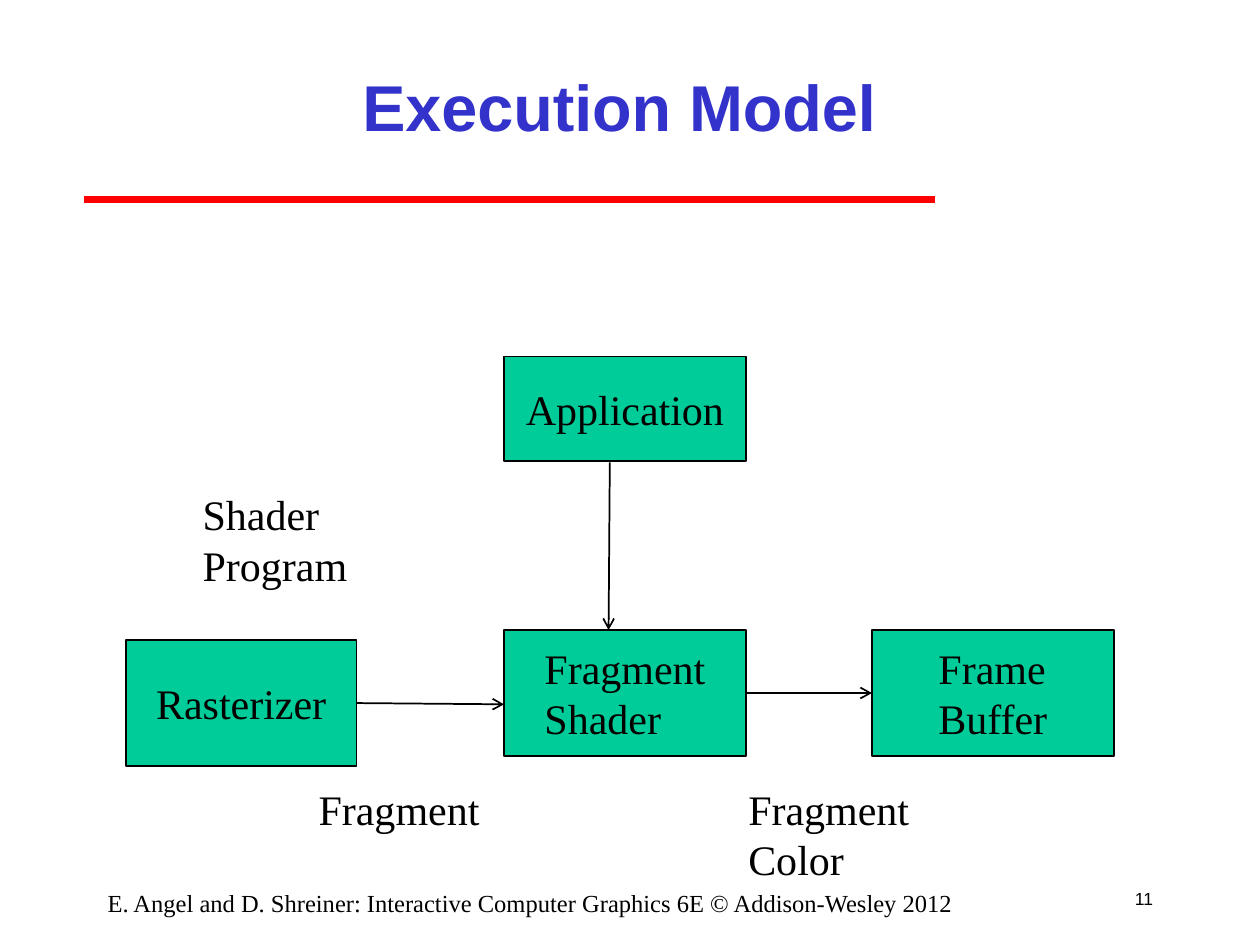
"""Build the execution model slide."""
from lxml import etree
from pptx import Presentation
from pptx.dml.color import RGBColor
from pptx.enum.shapes import MSO_CONNECTOR, MSO_SHAPE
from pptx.enum.text import MSO_ANCHOR, MSO_AUTO_SIZE, PP_ALIGN
from pptx.oxml.ns import qn
from pptx.util import Inches, Pt

STRAIGHT = MSO_CONNECTOR.STRAIGHT
RECT = MSO_SHAPE.RECTANGLE
TOP, MIDDLE = MSO_ANCHOR.TOP, MSO_ANCHOR.MIDDLE
LEFT, CENTER, RIGHT = PP_ALIGN.LEFT, PP_ALIGN.CENTER, PP_ALIGN.RIGHT
NO_FIT, GROW = MSO_AUTO_SIZE.NONE, MSO_AUTO_SIZE.SHAPE_TO_FIT_TEXT
SERIF, SANS = "Times New Roman", "Arial"
BLACK, GREEN, BLUE, RED = "000000", "00CC99", "3333CC", "FF0000"


def color(code):
    """Turn a hex string into a colour."""
    return RGBColor.from_string(code)


class Board:
    """Hold the current slide and draw its elements in one style."""

    def __init__(self, slide):
        self.slide = slide
        self.shapes = slide.shapes

    def fill_text(self, shape, text, size=24, font=SERIF, ink=BLACK, bold=False,
                  align=LEFT, anchor=TOP, wrap=True, fit=NO_FIT):
        frame = shape.text_frame
        frame.text = text
        frame.word_wrap = wrap
        frame.auto_size = fit
        frame.vertical_anchor = anchor
        for line in frame.paragraphs:
            line.alignment = align
            line.font.name = font
            line.font.size = Pt(size)
            line.font.bold = bold
            line.font.color.rgb = color(ink)
        return frame

    def title(self, text, area):
        shape = self.shapes.title
        shape.left, shape.top, shape.width, shape.height = map(Inches, area)
        self.fill_text(shape, text, 37, SANS, BLUE, True, CENTER, MIDDLE)

    def label(self, text, area, **style):
        self.fill_text(self.shapes.add_textbox(*map(Inches, area)), text, **style)

    def box(self, text, area):
        shape = self.shapes.add_shape(RECT, *map(Inches, area))
        shape.shadow.inherit = False
        shape.fill.solid()
        shape.fill.fore_color.rgb = color(GREEN)
        shape.line.color.rgb = color(BLACK)
        shape.line.width = Pt(1)
        frame = self.fill_text(shape, text, anchor=MIDDLE)
        frame._txBody.bodyPr.set("anchorCtr", "1")

    def line(self, ends, ink=BLACK, width=1):
        link = self.shapes.add_connector(STRAIGHT, *map(Inches, ends))
        link.line.color.rgb = color(ink)
        link.line.width = Pt(width)
        etree.SubElement(link._element.spPr, qn("a:effectLst"))
        return link

    def arrow(self, ends):
        link = self.line(ends)
        edge = link._element.spPr.find(qn("a:ln"))
        etree.SubElement(edge, qn("a:tailEnd"), type="arrow")


def main():
    """Lay out the slide and save it."""
    deck = Presentation()
    deck.slide_width, deck.slide_height = Inches(10), Inches(7.5)
    board = Board(deck.slides.add_slide(deck.slide_layouts[5]))

    board.line((0.67, 1.58, 7.42, 1.58), RED, 4)
    board.label("11", (8.83, 6.92, 0.42, 0.42), size=10, font=SANS,
                align=RIGHT, anchor=MIDDLE, wrap=False)
    board.label("E. Angel and D. Shreiner: Interactive Computer Graphics 6E "
                "© Addison-Wesley 2012", (0.5, 7, 7.42, 0.25), size=14, align=CENTER)
    board.title("Execution Model", (1.5, 0.25, 6.83, 1.17))

    for text, area in (
        ("Fragment\nShader", (4, 5, 1.92, 1)),
        ("Application", (4, 2.83, 1.92, 0.83)),
        ("Frame Buffer", (6.92, 5, 1.92, 1)),
        ("Rasterizer", (1, 5.08, 1.83, 1)),
    ):
        board.box(text, area)

    for ends in ((4.84, 3.67, 4.83, 5), (2.83, 5.58, 4, 5.59), (5.92, 5.5, 6.92, 5.5)):
        board.arrow(ends)

    for text, area in (
        ("Fragment", (2.43, 6.17, 1.48, 0.5)),
        ("Fragment\nColor", (5.84, 6.17, 1.48, 0.9)),
        ("Shader Program", (1.51, 3.83, 2.35, 0.5)),
    ):
        board.label(text, area, wrap=False, fit=GROW)

    deck.save("out.pptx")


if __name__ == "__main__":
    main()
